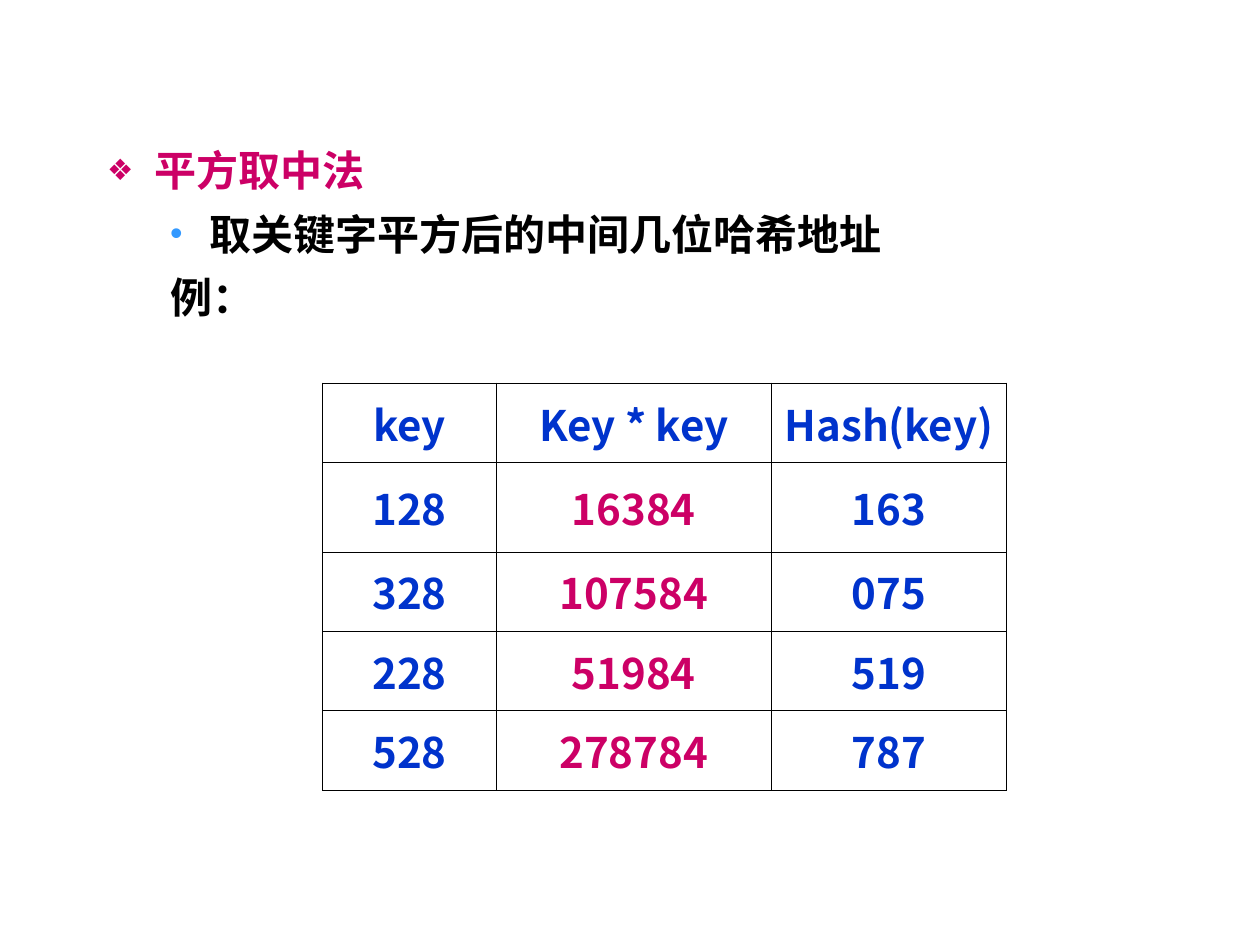
from dataclasses import dataclass
from typing import Optional

from lxml.etree import SubElement
from pptx import Presentation
from pptx.dml.color import RGBColor
from pptx.enum.text import MSO_ANCHOR, MSO_AUTO_SIZE, PP_ALIGN
from pptx.oxml.ns import qn
from pptx.util import Inches, Pt

MAGENTA = RGBColor(0xCC, 0x00, 0x66)
BLUE = RGBColor(0x00, 0x33, 0xCC)
SKY = RGBColor(0x33, 0x99, 0xFF)
BLACK = RGBColor(0x00, 0x00, 0x00)
LATIN = "Arial"
CJK = "Noto Sans CJK SC"
SLIDE_W, SLIDE_H = Inches(10), Inches(7.5)


@dataclass
class Bullet:
    char: str
    color: RGBColor
    percent: int


@dataclass
class Point:
    text: str
    color: RGBColor
    level: int
    margin: float
    hanging: float
    bullet: Optional[Bullet] = None


POINTS = [
    Point("平方取中法", MAGENTA, 0, 0.38, 0.38, Bullet("❖", MAGENTA, 70)),
    Point("取关键字平方后的中间几位哈希地址", BLACK, 1, 0.81, 0.31,
          Bullet("•", SKY, 85)),
    Point("例：", BLACK, 1, 0.81, 0.31),
]
HASH_ROWS = [
    ("key", "Key * key", "Hash(key)"),
    ("128", "16384", "163"),
    ("328", "107584", "075"),
    ("228", "51984", "519"),
    ("528", "278784", "787"),
]
COLUMN_WIDTHS = (1.38, 2.18, 1.87)
ROW_HEIGHTS = (0.63, 0.71, 0.63, 0.63, 0.63)
SQUARE_COLUMN = 1


def add_text(paragraph, text: str, typeface: str, color: RGBColor) -> None:
    run = paragraph.add_run()
    run.text = text
    for name, value in {"size": Pt(24), "bold": True, "name": typeface}.items():
        setattr(run.font, name, value)
    run.font.color.rgb = color
    SubElement(run.font._element, qn("a:ea"), typeface=typeface)


def set_bullet(paragraph, bullet: Optional[Bullet]) -> None:
    properties = paragraph._p.get_or_add_pPr()
    if bullet is None:
        SubElement(properties, qn("a:buNone"))
        return
    tint = SubElement(properties, qn("a:buClr"))
    SubElement(tint, qn("a:srgbClr"), val=str(bullet.color))
    SubElement(properties, qn("a:buSzPct"), val=str(bullet.percent * 1000))
    SubElement(properties, qn("a:buFont"), typeface=LATIN)
    SubElement(properties, qn("a:buChar"), char=bullet.char)


def write_point(paragraph, point: Point) -> None:
    set_bullet(paragraph, point.bullet)
    spacing = {"level": point.level, "line_spacing": 1.2,
               "space_before": Pt(0), "space_after": Pt(1.5)}
    for name, value in spacing.items():
        setattr(paragraph, name, value)
    properties = paragraph._p.get_or_add_pPr()
    properties.set("marL", str(Inches(point.margin)))
    properties.set("indent", str(-Inches(point.hanging)))
    add_text(paragraph, point.text, LATIN, point.color)


def outline_cell(cell) -> None:
    properties = cell._tc.get_or_add_tcPr()
    for side in ("lnL", "lnR", "lnT", "lnB"):
        line = SubElement(properties, qn(f"a:{side}"), w=str(Pt(0.45)))
        fill = SubElement(line, qn("a:solidFill"))
        SubElement(fill, qn("a:srgbClr"), val=str(BLACK))


def write_cell(cell, text: str, color: RGBColor) -> None:
    outline_cell(cell)
    cell.fill.background()
    cell.vertical_anchor = MSO_ANCHOR.MIDDLE
    paragraph = cell.text_frame.paragraphs[0]
    paragraph.alignment = PP_ALIGN.CENTER
    add_text(paragraph, text, CJK, color)


def add_hash_table(slide) -> None:
    frame = slide.shapes.add_table(
        len(HASH_ROWS), len(COLUMN_WIDTHS), Inches(2.56), Inches(3.04),
        Inches(sum(COLUMN_WIDTHS)), Inches(sum(ROW_HEIGHTS)))
    table = frame.table
    table.first_row = table.horz_banding = False
    for column, width in zip(table.columns, COLUMN_WIDTHS):
        column.width = Inches(width)
    for row, height in zip(table.rows, ROW_HEIGHTS):
        row.height = Inches(height)
    for r, values in enumerate(HASH_ROWS):
        for c, value in enumerate(values):
            is_square = r > 0 and c == SQUARE_COLUMN
            write_cell(table.cell(r, c), value, MAGENTA if is_square else BLUE)


def main() -> None:
    deck = Presentation()
    deck.slide_width, deck.slide_height = SLIDE_W, SLIDE_H
    slide = deck.slides.add_slide(deck.slide_layouts[1])

    # The slide has no heading
    heading = slide.shapes.title._element
    heading.getparent().remove(heading)

    # Method description
    method = slide.placeholders[1]
    place = {"left": 0.75, "top": 0.99, "width": 8.98, "height": 2.76}
    for name, inches in place.items():
        setattr(method, name, Inches(inches))
    body = method.text_frame
    body.auto_size = MSO_AUTO_SIZE.NONE
    body.margin_top = Inches(0.08)
    for index, point in enumerate(POINTS):
        write_point(body.add_paragraph() if index else body.paragraphs[0], point)

    # Worked example
    add_hash_table(slide)
    deck.save("out.pptx")


if __name__ == "__main__":
    main()
